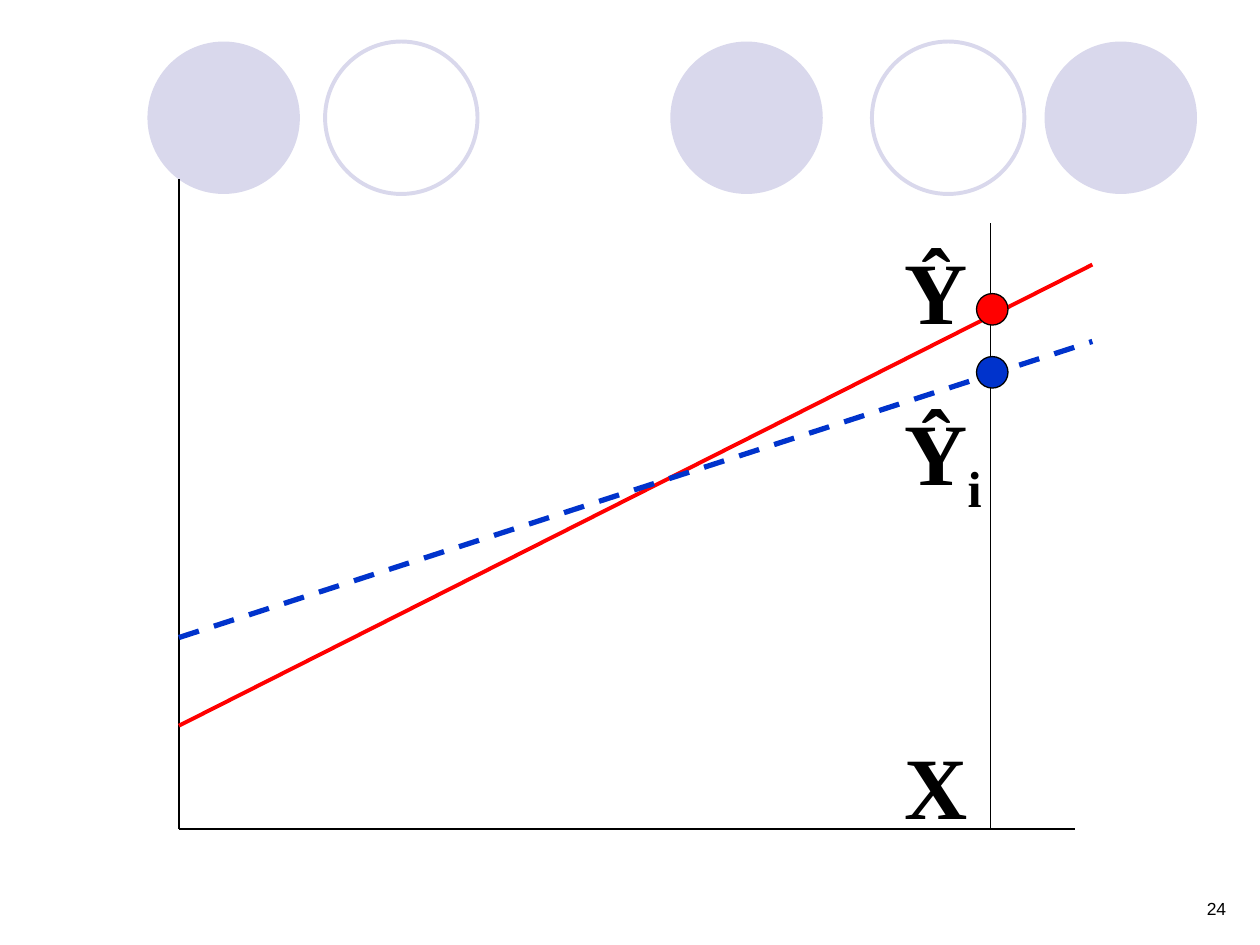
from dataclasses import dataclass
from typing import Optional

import pptx
import pptx.dml.color
import pptx.enum.dml
import pptx.enum.shapes
import pptx.enum.text
import pptx.oxml.ns
import pptx.util
from lxml import etree

Inches = pptx.util.Inches
Pt = pptx.util.Pt
RGBColor = pptx.dml.color.RGBColor

LAVENDER = RGBColor(0xD9, 0xD8, 0xEC)
BLACK = RGBColor(0x00, 0x00, 0x00)
RED = RGBColor(0xFF, 0x00, 0x00)
BLUE = RGBColor(0x00, 0x33, 0xCC)

AXIS_LEFT, AXIS_BOTTOM = 1.42, 6.58
FIT_RIGHT = 8.67
X_VALUE = 7.86


@dataclass
class Circle:
    left: float
    top: float
    size: float
    fill: Optional[RGBColor] = None
    line: Optional[RGBColor] = None
    weight: float = 0.75


@dataclass
class Line:
    start: tuple[float, float]
    end: tuple[float, float]
    color: RGBColor = BLACK
    weight: float = 0.75
    dashed: bool = False


@dataclass
class Label:
    text: str
    space_before: float
    subscript: str = ""


DECORATION = [
    Circle(5.32, 0.33, 1.21, fill=LAVENDER),
    Circle(8.29, 0.33, 1.21, fill=LAVENDER),
    Circle(1.17, 0.33, 1.21, fill=LAVENDER),
    Circle(6.92, 0.33, 1.21, line=LAVENDER, weight=2.25),
    Circle(2.58, 0.33, 1.21, line=LAVENDER, weight=2.25),
]
LINES = [
    Line((AXIS_LEFT, AXIS_BOTTOM), (8.53, AXIS_BOTTOM)),
    Line((AXIS_LEFT, AXIS_BOTTOM), (AXIS_LEFT, 1.42)),
    Line((AXIS_LEFT, 5.76), (FIT_RIGHT, 2.1), RED, 2.25),
    Line((AXIS_LEFT, 5.06), (FIT_RIGHT, 2.71), BLUE, 3, dashed=True),
    Line((X_VALUE, AXIS_BOTTOM), (X_VALUE, 1.77)),
]
LABELS = [Label("Ŷ", 0), Label("Ŷ", 32, "i"), Label("X", 122.5)]
POINTS = [
    Circle(7.75, 2.33, 0.25, RED, BLACK),
    Circle(7.75, 2.83, 0.25, BLUE, BLACK),
]


def add_circle(s, circle: Circle) -> None:
    sp = s.shapes.add_shape(
        pptx.enum.shapes.MSO_SHAPE.OVAL,
        Inches(circle.left), Inches(circle.top),
        Inches(circle.size), Inches(circle.size))
    sp.shadow.inherit = False
    if circle.fill is None:
        sp.fill.background()
    else:
        sp.fill.solid()
        sp.fill.fore_color.rgb = circle.fill
    if circle.line is None:
        sp.line.fill.background()
    else:
        sp.line.color.rgb = circle.line
        sp.line.width = Pt(circle.weight)


def add_line(s, line: Line) -> None:
    cxn = s.shapes.add_connector(
        pptx.enum.shapes.MSO_CONNECTOR.STRAIGHT,
        *(Inches(v) for v in line.start + line.end))
    cxn.line.color.rgb = line.color
    cxn.line.width = Pt(line.weight)
    if line.dashed:
        cxn.line.dash_style = pptx.enum.dml.MSO_LINE.DASH
    etree.SubElement(cxn._element.spPr, pptx.oxml.ns.qn("a:effectLst"))


def add_text_frame(s, left: float, top: float, width: float, height: float):
    sp = s.shapes.add_textbox(
        Inches(left), Inches(top), Inches(width), Inches(height))
    tf = sp.text_frame
    tf.word_wrap = True
    return tf


def set_font(p, name: str, size: float, bold: bool = False) -> None:
    p.font.name = name
    p.font.size = Pt(size)
    p.font.bold = bold
    p.font.color.rgb = BLACK


def add_labels(s, labels: list[Label]) -> None:
    tf = add_text_frame(s, 7.08, 1.83, 1.08, 4.85)
    for i, label in enumerate(labels):
        p = tf.paragraphs[0] if i == 0 else tf.add_paragraph()
        p.space_before = Pt(label.space_before)
        set_font(p, "Times New Roman", 50, bold=True)
        p.add_run().text = label.text
        if label.subscript:
            r = p.add_run()
            r.text = label.subscript
            r.font._element.set("baseline", "-25000")


def add_page_number(s, number: str) -> None:
    p = add_text_frame(s, 7.5, 7.08, 2.33, 0.25).paragraphs[0]
    p.alignment = pptx.enum.text.PP_ALIGN.RIGHT
    set_font(p, "Arial", 10)
    p.add_run().text = number


def main() -> None:
    prs = pptx.Presentation()
    prs.slide_width, prs.slide_height = Inches(10), Inches(7.5)
    s = prs.slides.add_slide(prs.slide_layouts[6])
    for circle in DECORATION:
        add_circle(s, circle)
    for line in LINES:
        add_line(s, line)
    add_labels(s, LABELS)
    for point in POINTS:
        add_circle(s, point)
    add_page_number(s, "24")
    prs.save("out.pptx")


if __name__ == "__main__":
    main()
